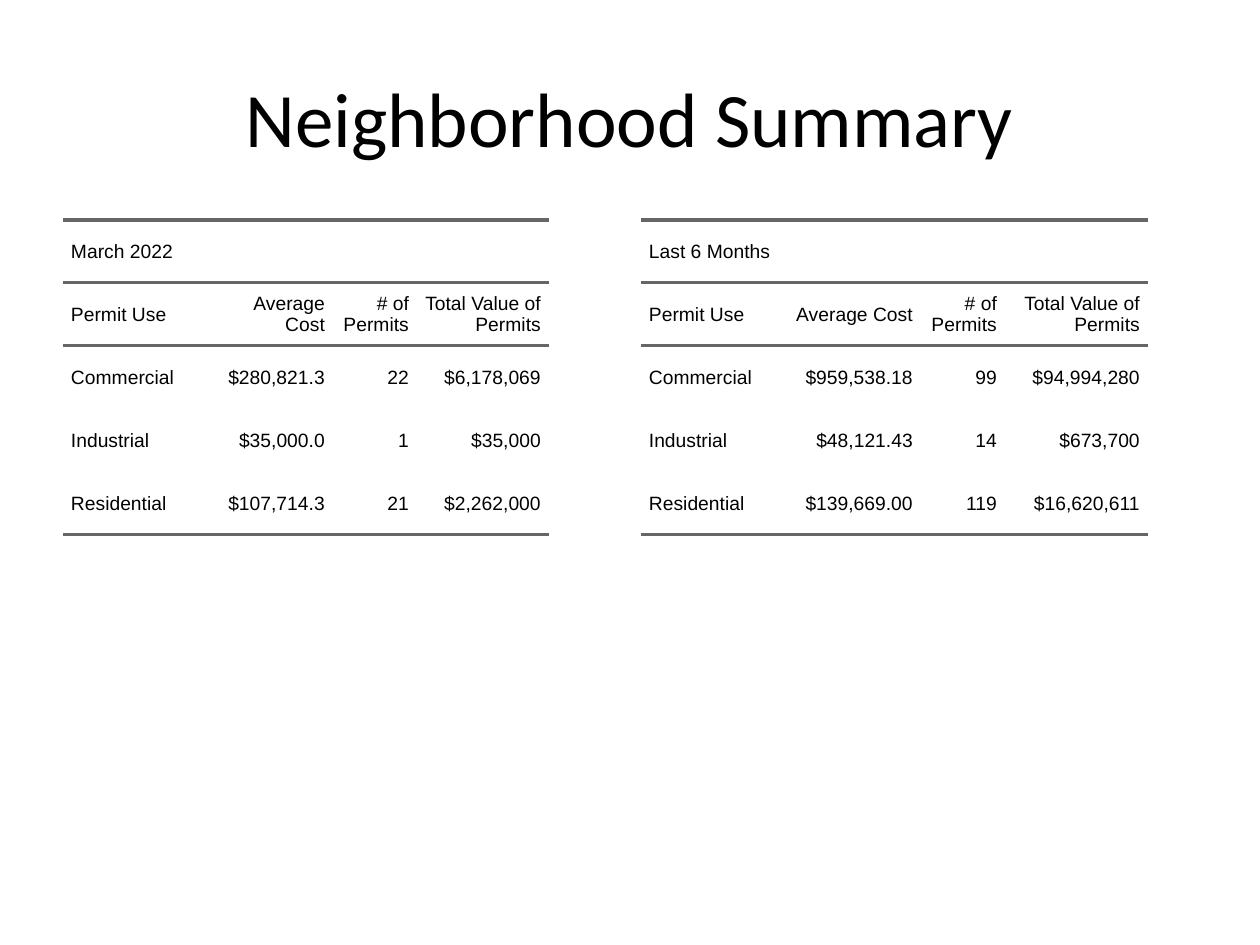
from lxml.etree import SubElement as Sub
from pptx import Presentation
from pptx.dml.color import RGBColor
from pptx.enum.text import MSO_ANCHOR as Anchor, PP_ALIGN as Align
from pptx.oxml.ns import qn
from pptx.util import Pt

PX = 914400 // 126
ROW = 63
PAD = 8
RULE = "666666"
INK = "000000"
HEADS = ("Permit Use", "Average Cost", "# of Permits", "Total Value of Permits")
MARCH = (
    ("Commercial", "$280,821.3", "22", "$6,178,069"),
    ("Industrial", "$35,000.0", "1", "$35,000"),
    ("Residential", "$107,714.3", "21", "$2,262,000"),
)
HALF = (
    ("Commercial", "$959,538.18", "99", "$94,994,280"),
    ("Industrial", "$48,121.43", "14", "$673,700"),
    ("Residential", "$139,669.00", "119", "$16,620,611"),
)


def px(*nums):
    """Turn pixel lengths into EMU."""
    return [n * PX for n in nums]


def tint(code):
    """Turn a hex string into a colour."""
    return RGBColor.from_string(code)


def style(para, name, size, align):
    """Set the font and alignment of a paragraph."""
    para.alignment = align
    para.font.name = name
    para.font.size = Pt(size)
    para.font.color.rgb = tint(INK)


def edge(cell, side, drawn):
    """Draw or clear one side of a cell."""
    line = Sub(cell._tc.get_or_add_tcPr(), qn("a:ln" + side), w=str(Pt(2)))
    if drawn:
        fill = Sub(line, qn("a:solidFill"))
        Sub(fill, qn("a:srgbClr"), val=RULE)
    else:
        Sub(line, qn("a:noFill"))


def fill_cell(cell, text, align, top, base):
    """Write one cell with its rules above and below."""
    for side, drawn in (("L", False), ("R", False), ("T", top), ("B", base)):
        edge(cell, side, drawn)
    cell.fill.background()
    cell.vertical_anchor = Anchor.MIDDLE
    cell.margin_left = cell.margin_right = PAD * PX
    cell.margin_top = cell.margin_bottom = 0
    para = cell.text_frame.paragraphs[0]
    style(para, "Arial", 11, align)
    if text:
        para.add_run().text = text


def add_permits(slide, left, top, widths, label, body):
    """Add a permit table under a label row."""
    rows = [(label, "", "", ""), HEADS, *body]
    last = len(rows) - 1
    box = px(left, top, sum(widths), ROW * len(rows))
    table = slide.shapes.add_table(len(rows), len(widths), *box).table
    table.first_row = table.horz_banding = False
    for col, width in zip(table.columns, px(*widths)):
        col.width = width
    for r, row in enumerate(rows):
        for c, text in enumerate(row):
            align = Align.RIGHT if c else Align.LEFT
            fill_cell(table.cell(r, c), text, align, r < 3, r < 2 or r == last)
    table.cell(0, 0).merge(table.cell(0, len(widths) - 1))


def add_title(slide, left, top, width, height):
    """Add the centred slide title."""
    frame = slide.shapes.add_textbox(*px(left, top, width, height)).text_frame
    frame.word_wrap = True
    frame.vertical_anchor = Anchor.MIDDLE
    para = frame.paragraphs[0]
    para.text = "Neighborhood Summary"
    style(para, "Calibri", 44, Align.CENTER)


def main():
    """Build and save the slide."""
    deck = Presentation()
    deck.slide_width, deck.slide_height = px(1260, 945)
    slide = deck.slides.add_slide(deck.slide_layouts[6])
    add_permits(slide, 63, 220, (138, 132, 84, 132), "March 2022", MARCH)
    add_permits(slide, 641, 220, (138, 142, 84, 143), "Last 6 Months", HALF)
    add_title(slide, 63, 38, 1134, 158)
    deck.save("out.pptx")


if __name__ == "__main__":
    main()
